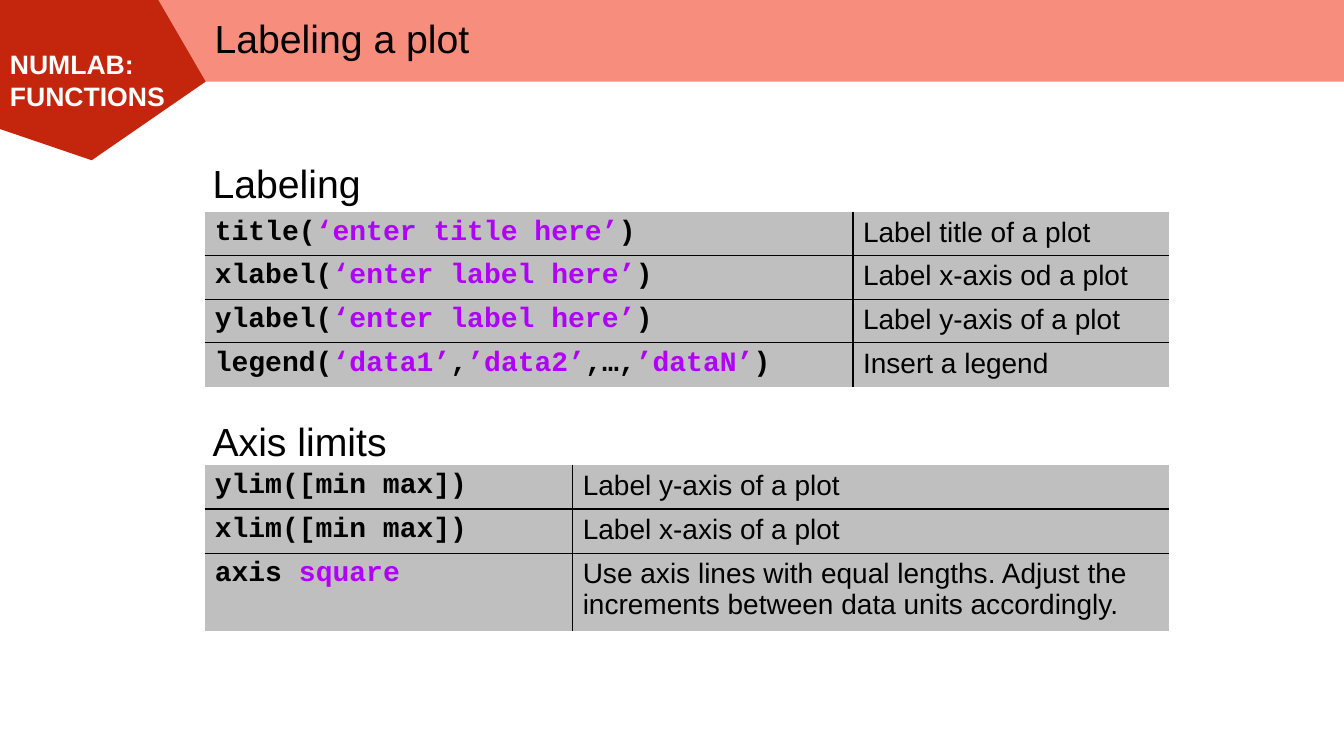
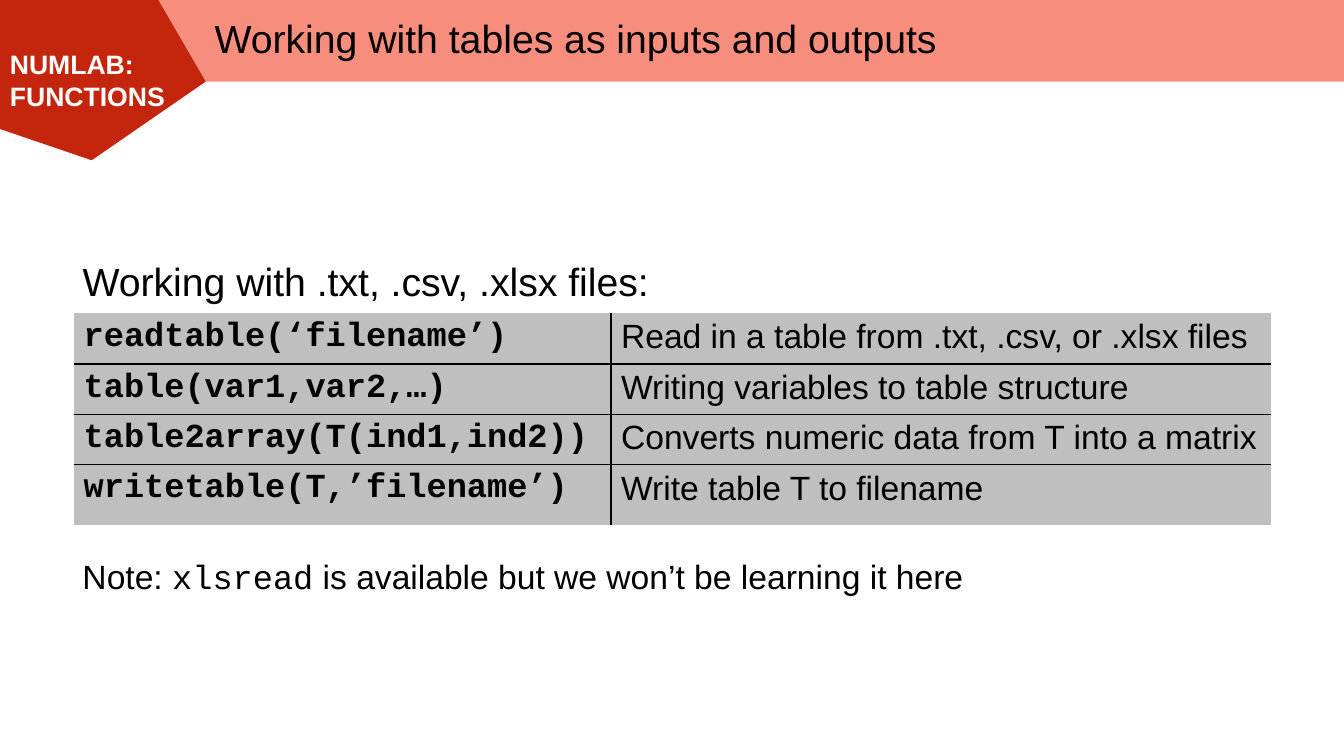
from lxml import etree
from pptx import Presentation
from pptx.dml.color import RGBColor
from pptx.enum.shapes import MSO_SHAPE
from pptx.enum.text import MSO_ANCHOR, PP_ALIGN
from pptx.oxml.ns import qn
from pptx.util import Inches, Pt

RECT = MSO_SHAPE.RECTANGLE
MIDDLE = MSO_ANCHOR.MIDDLE
LEFT = PP_ALIGN.LEFT
SANS, MONO = "Arial", "Courier New"
BLACK, WHITE, GREY = "000000", "FFFFFF", "BFBFBF"
RED, PINK, PURPLE = "C3260C", "F78D7C", "B000FA"
BADGE = [(1.57, 0), (0, 0), (0, 1.28), (0.91, 1.59), (2.04, 0.81)]

LABELS = [
    ("title(|‘enter title here’|)", "Label title of a plot"),
    ("xlabel(|‘enter label here’|)", "Label x-axis od a plot"),
    ("ylabel(|‘enter label here’|)", "Label y-axis of a plot"),
    ("legend(|‘data1’|,|’data2’|,…,|’dataN’|)", "Insert a legend"),
]
LIMITS = [
    ("ylim([min max])", "Label y-axis of a plot"),
    ("xlim([min max])", "Label x-axis of a plot"),
    ("axis |square|", "Use axis lines with equal lengths. "
     "Adjust the increments between data units accordingly."),
]
FILES = [
    ("readtable(‘filename’)", "Read in a table from .txt, .csv, or .xlsx files"),
    ("table(var1,var2,…)", "Writing variables to table structure"),
    ("table2array(T(ind1,ind2))", "Converts numeric data from T into a matrix"),
    ("writetable(T,’filename’)", "Write table T to filename"),
]


def rgb(code):
    return RGBColor.from_string(code)


def paint(shape, color):
    shape.shadow.inherit = False
    shape.fill.solid()
    shape.fill.fore_color.rgb = rgb(color)
    shape.line.fill.background()


def style(font, size, face=SANS, color=BLACK, bold=False):
    font.size = Pt(size)
    font.name = face
    font.color.rgb = rgb(color)
    font.bold = bold


def write(para, text, mark):
    for i, part in enumerate(text.split("|")):
        if part:
            run = para.add_run()
            run.text = part
            if i % 2:
                mark(run.font)


def mark_code(font):
    font.color.rgb = rgb(PURPLE)


def mark_mono(font):
    font.name = MONO


def add_text(slide, box, text, size=28, wrap=False):
    frame = slide.shapes.add_textbox(*map(Inches, box)).text_frame
    frame.word_wrap = wrap
    para = frame.paragraphs[0]
    style(para.font, size)
    write(para, text, mark_mono)
    return frame


def add_header(slide, title):
    band = slide.shapes.add_shape(
        RECT, Inches(0.92), 0, Inches(12.41), Inches(0.81))
    paint(band, PINK)

    points = [(Inches(x), Inches(y)) for x, y in BADGE]
    pen = slide.shapes.build_freeform(*points[0])
    pen.add_line_segments(points[1:], close=True)
    badge = pen.convert_to_shape()
    paint(badge, RED)
    frame = badge.text_frame
    frame.word_wrap = True
    frame.vertical_anchor = MIDDLE
    para = frame.paragraphs[0]
    para.text = "NUMLAB: FUNCTIONS"
    para.alignment = LEFT
    style(para.font, 19, color=WHITE, bold=True)

    frame = add_text(slide, (2.03, 0.09, 11.3, 0.62), title, wrap=True)
    frame.vertical_anchor = MIDDLE
    frame.paragraphs[0].line_spacing = 0.9


def add_border(cell, side, shown):
    props = cell._tc.get_or_add_tcPr()
    line = etree.SubElement(props, qn("a:" + side), w=str(Pt(1)))
    if shown:
        fill = etree.SubElement(line, qn("a:solidFill"))
        etree.SubElement(fill, qn("a:srgbClr"), val=BLACK)
    else:
        etree.SubElement(line, qn("a:noFill"))


def add_grid(slide, left, top, cols, rows, data, size):
    box = map(Inches, (left, top, sum(cols), sum(rows)))
    grid = slide.shapes.add_table(len(rows), len(cols), *box).table
    grid.first_row = grid.horz_banding = False
    for col, width in zip(grid.columns, cols):
        col.width = Inches(width)
    for r, (row, height) in enumerate(zip(grid.rows, rows)):
        row.height = Inches(height)
        for c, cell in enumerate(row.cells):
            sides = {"lnL": c > 0, "lnR": c < len(cols) - 1,
                     "lnT": r > 0, "lnB": r < len(rows) - 1}
            for side, shown in sides.items():
                add_border(cell, side, shown)
            cell.fill.solid()
            cell.fill.fore_color.rgb = rgb(GREY)
            para = cell.text_frame.paragraphs[0]
            style(para.font, size, (MONO, SANS)[c], bold=c == 0)
            write(para, data[r][c], mark_code)


def plot_slide(slide):
    add_header(slide, "Labeling a plot")
    add_text(slide, (2.01, 1.53, 1.69, 0.57), "Labeling")
    add_grid(slide, 2.03, 2.1, (6.43, 3.13), [0.41] * 4, LABELS, 20)
    add_text(slide, (2.01, 4.09, 1.95, 0.57), "Axis limits")
    add_grid(slide, 2.03, 4.61, (3.65, 5.91), (0.44, 0.44, 0.76), LIMITS, 20)


def file_slide(slide):
    add_header(slide, "Working with tables as inputs and outputs")
    add_text(slide, (0.72, 2.5, 5.88, 0.57),
             "Working with .txt, .csv, .xlsx files:")
    add_grid(slide, 0.73, 3.11, (5.33, 6.55), [0.43] * 3 + [0.6], FILES, 24)
    add_text(slide, (0.72, 5.47, 9.03, 0.5),
             "Note: |xlsread| is available but we won’t be learning it here", 24)


def main():
    deck = Presentation()
    deck.slide_width = Inches(13.33)
    deck.slide_height = Inches(7.5)
    for build in (plot_slide, file_slide):
        build(deck.slides.add_slide(deck.slide_layouts[6]))
    deck.save("out.pptx")


if __name__ == "__main__":
    main()
